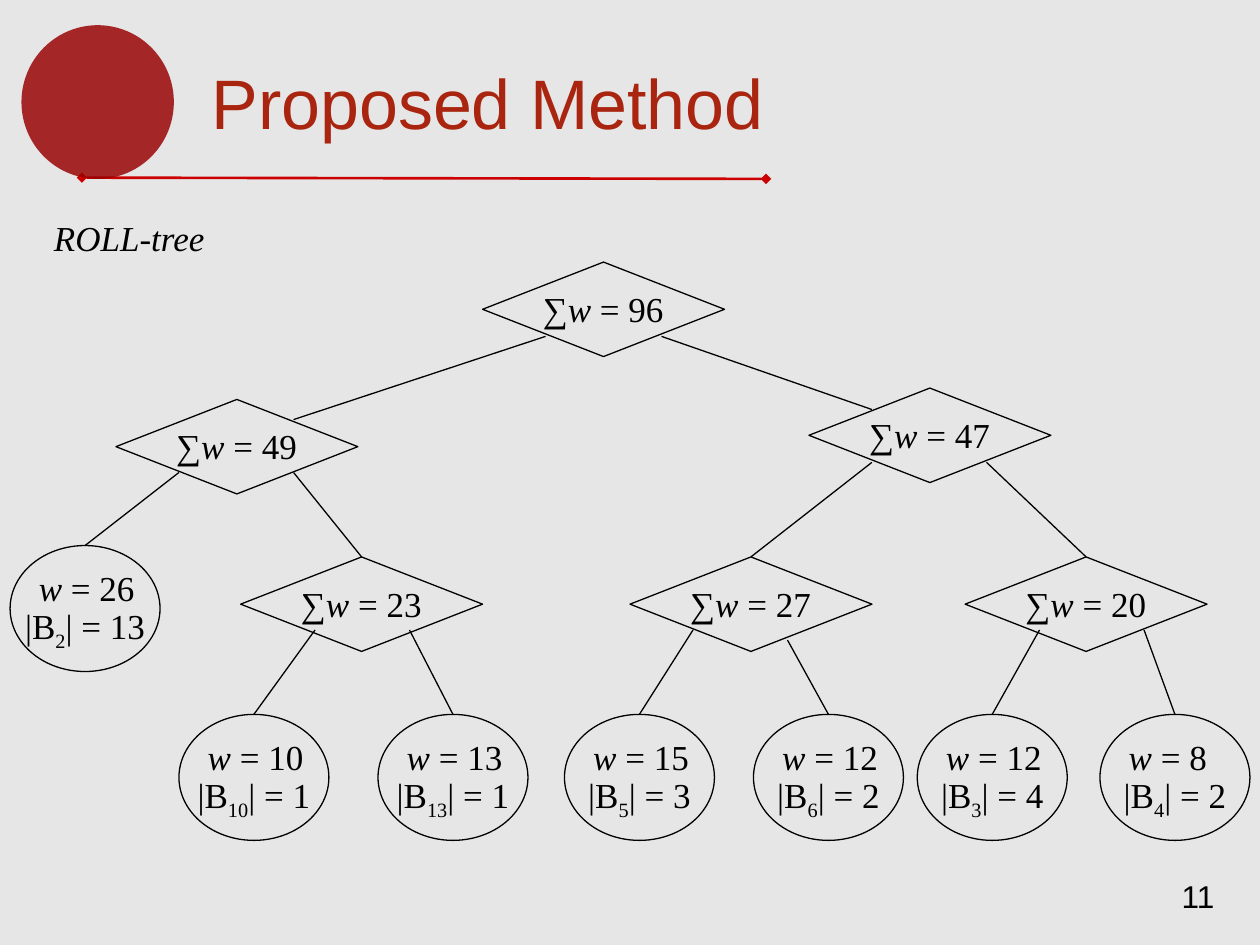
from lxml import etree
from pptx import Presentation
from pptx.dml.color import RGBColor
from pptx.enum.shapes import MSO_CONNECTOR, MSO_SHAPE
from pptx.enum.text import MSO_AUTO_SIZE, PP_ALIGN
from pptx.oxml.ns import qn
from pptx.util import Inches, Pt

STRAIGHT = MSO_CONNECTOR.STRAIGHT
DIAMOND = MSO_SHAPE.DIAMOND
OVAL = MSO_SHAPE.OVAL
GROW = MSO_AUTO_SIZE.SHAPE_TO_FIT_TEXT
LEFT, CENTER = PP_ALIGN.LEFT, PP_ALIGN.CENTER

GRAY = RGBColor(0xE6, 0xE6, 0xE6)
BLACK = RGBColor(0, 0, 0)
DARK_RED = RGBColor(0x99, 0, 0)
RED = RGBColor(0xCC, 0, 0)
TITLE_RED = RGBColor(0xA9, 0x25, 0x0F)

prs = Presentation()
prs.slide_width, prs.slide_height = Inches(10), Inches(7.5)
s = prs.slides.add_slide(prs.slide_layouts[6])
s.background.fill.solid()
s.background.fill.fore_color.rgb = GRAY


def add_text(runs, x, y, w, h=0.44, size=20, font="Times New Roman", color=BLACK, align=LEFT):
    """Add a one-line text box; runs are (text, style), style "i", "sub" or ""."""
    tf = s.shapes.add_textbox(Inches(x), Inches(y), Inches(w), Inches(h)).text_frame
    tf.word_wrap = True
    tf.auto_size = GROW
    p = tf.paragraphs[0]
    p.alignment = align
    for text, style in runs:
        r = p.add_run()
        r.text = text
        r.font.size, r.font.name = Pt(size), font
        r.font.color.rgb = color
        r.font.italic = style == "i"
        if style == "sub":
            r._r.get_or_add_rPr().set("baseline", "-25000")


def add_line(x1, y1, x2, y2, color=BLACK, width=0.75):
    line = s.shapes.add_connector(STRAIGHT, Inches(x1), Inches(y1), Inches(x2), Inches(y2))
    line.line.color.rgb = color
    line.line.width = Pt(width)
    etree.SubElement(line._element.spPr, qn("a:effectLst"))
    return line


# Header: rule with diamond ends, translucent circle, title
rule = add_line(0.65, 1.41, 6.08, 1.42, RED, 1.5)
for tag in ("a:headEnd", "a:tailEnd"):
    etree.SubElement(rule.line._get_or_add_ln(), qn(tag), type="diamond")

circle = s.shapes.add_shape(OVAL, Inches(0.17), Inches(0.2), Inches(1.21), Inches(1.22))
circle.shadow.inherit = False
circle.fill.solid()
circle.fill.fore_color.rgb = DARK_RED
circle.line.fill.background()
rgb = circle._element.spPr.find(qn("a:solidFill"))[0]
etree.SubElement(rgb, qn("a:alpha"), val="83000")

add_text([("Proposed Method", "")], 1.58, 0.42, 4.75, 0.77, 40, "Arial", TITLE_RED)
add_text([("ROLL-tree", "i")], 0.33, 1.67, 1.5)

# Tree nodes: name, left, top, value of w, (block, block size) for leaves
NODES = [
    ("root", 3.83, 2.08, 96, None),
    ("right", 6.42, 3.08, 47, None),
    ("left", 0.92, 3.17, 49, None),
    ("n23", 1.91, 4.42, 23, None),
    ("n27", 5, 4.42, 27, None),
    ("n20", 7.66, 4.42, 20, None),
    ("B2", 0.08, 4.33, 26, (2, 13)),
    ("B10", 1.42, 5.67, 10, (10, 1)),
    ("B13", 3, 5.67, 13, (13, 1)),
    ("B5", 4.48, 5.67, 15, (5, 3)),
    ("B6", 5.98, 5.67, 12, (6, 2)),
    ("B3", 7.28, 5.67, 12, (3, 4)),
    ("B4", 8.73, 5.67, 8, (4, 2)),
]
nodes = {}
for name, x, y, weight, block in NODES:
    kind, w, h = (OVAL, 1.19, 1) if block else (DIAMOND, 1.92, 0.75)
    node = s.shapes.add_shape(kind, Inches(x), Inches(y), Inches(w), Inches(h))
    node.shadow.inherit = False
    node.fill.solid()
    node.fill.fore_color.rgb = GRAY
    node.line.color.rgb = BLACK
    node.line.width = Pt(0.75)
    nodes[name] = node
    weight_runs = [("w", "i"), (f" = {weight}", "")]
    if block:
        number, count = block
        add_text(weight_runs, x + 0.13, y + 0.12, 1)
        # The size label is centred so that the widest one stays inside its oval
        block_runs = [("|B", ""), (str(number), "sub"), (f"| = {count}", "")]
        add_text(block_runs, x, y + 0.42, w, align=CENTER)
    else:
        add_text([("∑", "")] + weight_runs, x + 0.38, y + 0.15, 1.2)

# Edges below the root run between the diamonds' sloping sides
add_line(4.33, 2.67, 2.33, 3.33)
add_line(5.25, 2.67, 6.92, 3.25)

# Lower edges end at the top of the child
EDGES = [
    (1.42, 3.75, "B2"), (2.33, 3.75, "n23"),
    (6.92, 3.67, "n27"), (7.83, 3.67, "n20"),
    (2.5, 5, "B10"), (3.25, 5, "B13"),
    (5.5, 5, "B5"), (6.25, 5.08, "B6"),
    (8.25, 5, "B3"), (9.08, 5, "B4"),
]
for x, y, child in EDGES:
    add_line(x, y, x, y).end_connect(nodes[child], 0)

# Slide number
add_text([("11", "")], 9.28, 6.91, 0.72, 0.4, 18, "Arial")

prs.save("out.pptx")
